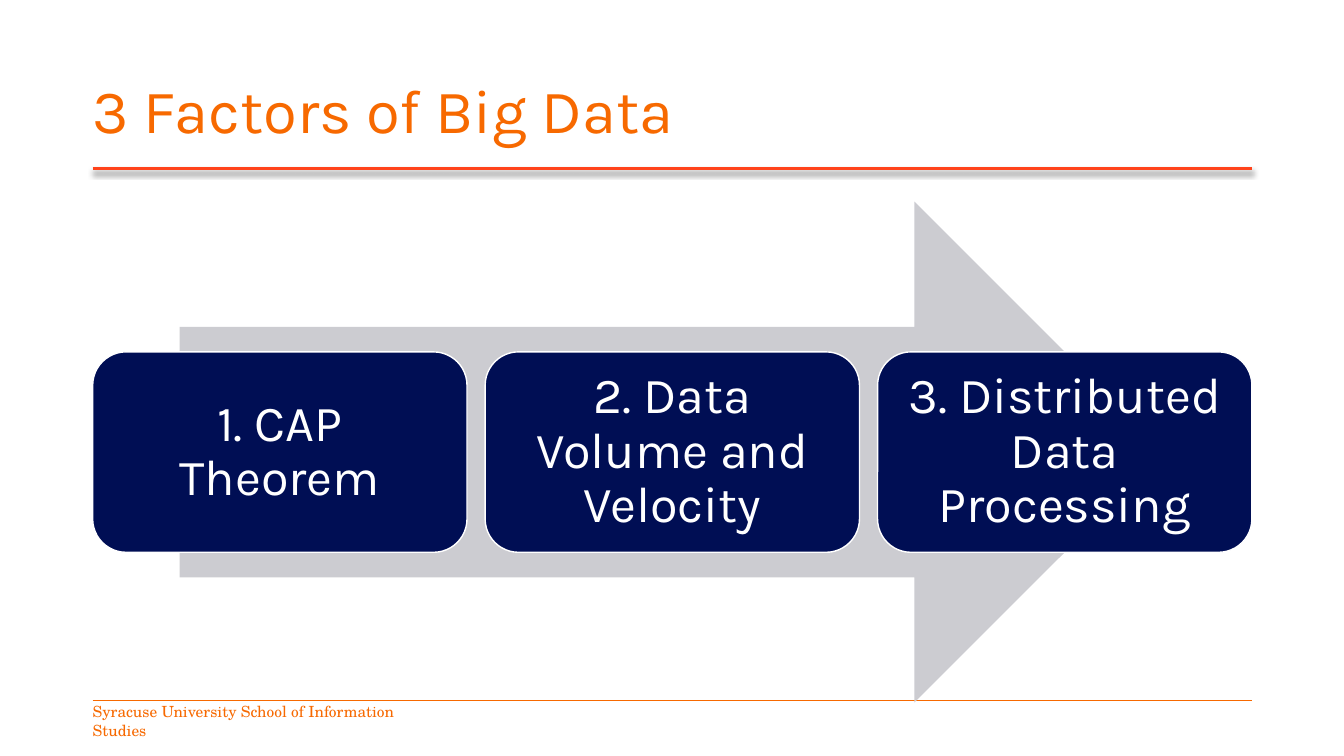
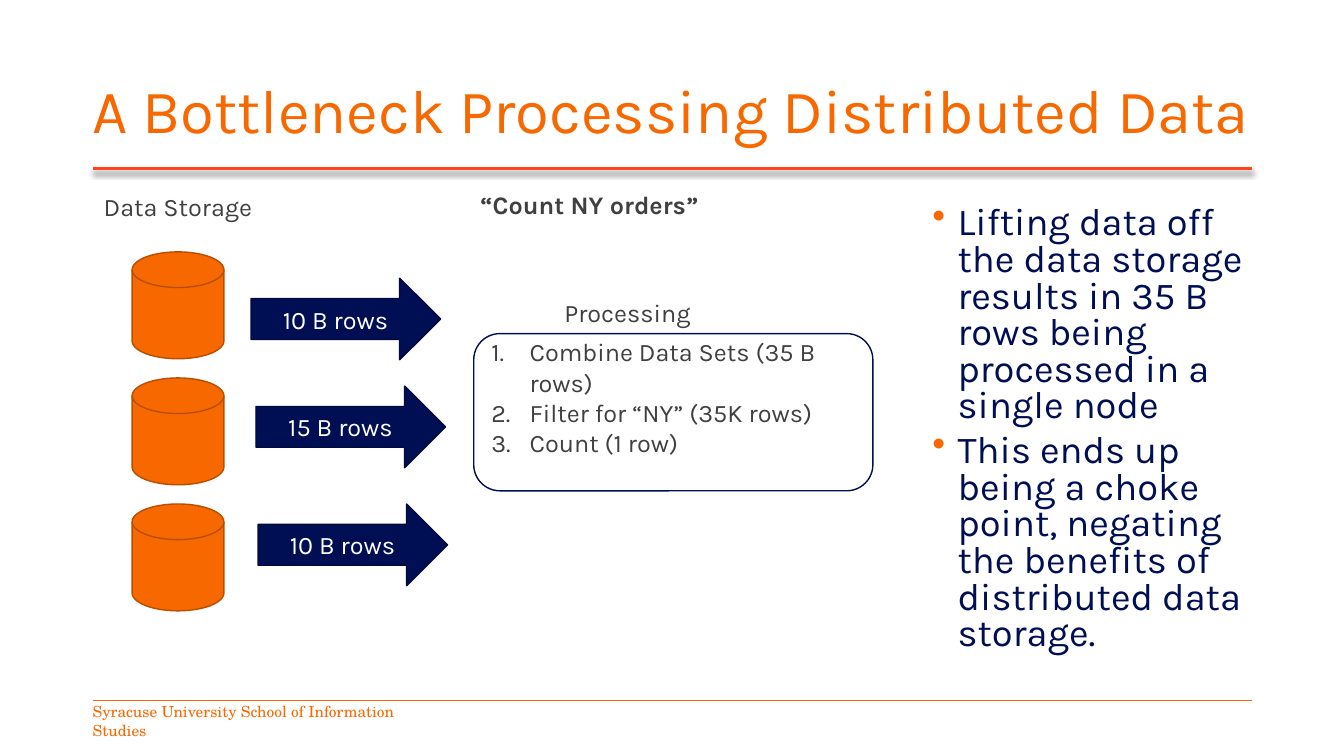
from dataclasses import dataclass, field
from typing import Any

from lxml.etree import SubElement
from pptx import Presentation
from pptx.dml.color import RGBColor
from pptx.enum.shapes import MSO_CONNECTOR as Connector, MSO_SHAPE as Preset
from pptx.enum.text import MSO_ANCHOR as Anchor, PP_ALIGN as Align
from pptx.oxml.ns import qn
from pptx.util import Inches, Pt

COLORS = {
    "orange": "F76900", "dark_orange": "B74E00", "red": "FF431B",
    "navy": "000E54", "dark_navy": "000A3E", "gray": "CCCCD1",
    "text": "3F403F", "white": "FFFFFF", "black": "000000",
}
SLIDE_W, SLIDE_H = Inches(13.33), Inches(7.5)

# Shared positions, in percent of the slide's width or height
LEFT, CONTENT_W = 6.9, 86.25
TITLE_RULE_Y, FOOTER_Y, LABEL_H = 22.27, 92.67, 5.33
CONTENT_TOP = 26.67
FOOTER = "Syracuse University School of Information Studies"


@dataclass(frozen=True)
class Box:
    """A rectangle in percent of the slide's size."""
    left: float
    top: float
    width: float
    height: float

    def emu(self) -> tuple[int, int, int, int]:
        return (int(SLIDE_W * self.left / 100), int(SLIDE_H * self.top / 100),
                int(SLIDE_W * self.width / 100), int(SLIDE_H * self.height / 100))


@dataclass(frozen=True)
class TextStyle:
    size: float = 18
    color: str = "text"
    font: str = "Karla"
    bold: bool = False
    align: Any = Align.CENTER
    anchor: Any = Anchor.MIDDLE
    spacing: float = 1.0
    before: float = 0
    bullet: str = ""
    indent: float = 0
    wrap: bool = True
    margins: dict[str, float] = field(default_factory=dict)


@dataclass(frozen=True)
class Label:
    text: str
    box: Box
    style: TextStyle


@dataclass(frozen=True)
class Flow:
    rows: str
    left: float
    top: float


FLUSH = {"margin_left": 0, "margin_right": 0}
TITLE = TextStyle(44, "orange", align=Align.LEFT, spacing=0.9, margins=FLUSH)
FOOTNOTE = TextStyle(11, "orange", "TeX Gyre Schola", align=Align.LEFT,
                     wrap=False, margins=FLUSH)
CARD = TextStyle(36, "white", spacing=0.9, margins={
    f"margin_{side}": 0.15 for side in ("left", "right", "top", "bottom")})
BODY = TextStyle(27.2, "navy", align=Align.LEFT, anchor=Anchor.TOP, spacing=0.8,
                 before=6, bullet="•", indent=0.25, margins=FLUSH)
STEPS = TextStyle(align=Align.LEFT, bullet="1.", indent=0.38,
                  margins={"margin_top": 0, "margin_bottom": 0.3})
CAPTION = TextStyle(anchor=Anchor.TOP)
QUERY = TextStyle(anchor=Anchor.TOP, bold=True)
FLOW = TextStyle(color="white")


def rgb(name: str) -> RGBColor:
    return RGBColor.from_string(COLORS[name])


def set_all(target: Any, values: dict[str, Any]) -> None:
    for name, value in values.items():
        setattr(target, name, value)


def add_bullet(paragraph: Any, style: TextStyle) -> None:
    props = paragraph._p.get_or_add_pPr()
    props.set("marL", str(Inches(style.indent)))
    props.set("indent", str(-Inches(style.indent)))
    if style.bullet == "1.":
        SubElement(props, qn("a:buAutoNum"), type="arabicPeriod")
    else:
        tint = SubElement(props, qn("a:buClr"))
        SubElement(tint, qn("a:srgbClr"), val=COLORS["orange"])
        SubElement(props, qn("a:buChar"), char=style.bullet)


def write(shape: Any, lines: list[str], style: TextStyle) -> None:
    frame = shape.text_frame
    set_all(frame, {"word_wrap": style.wrap, "vertical_anchor": style.anchor})
    set_all(frame, {side: Inches(gap) for side, gap in style.margins.items()})
    for index, line in enumerate(lines):
        paragraph = frame.add_paragraph() if index else frame.paragraphs[0]
        paragraph.text = line
        if style.bullet:
            add_bullet(paragraph, style)
        set_all(paragraph, {"alignment": style.align, "line_spacing": style.spacing,
                            "space_before": Pt(style.before if index else 0)})
        font = paragraph.runs[0].font
        set_all(font, {"name": style.font, "size": Pt(style.size), "bold": style.bold})
        font.color.rgb = rgb(style.color)


def add_label(slide: Any, label: Label) -> None:
    write(slide.shapes.add_textbox(*label.box.emu()), [label.text], label.style)


def add_figure(slide: Any, preset: Any, box: Box, fill: str, outline: str = "") -> Any:
    shape = slide.shapes.add_shape(preset, *box.emu())
    shape.shadow.inherit = False
    shape.fill.solid()
    shape.fill.fore_color.rgb = rgb(fill)
    if outline:
        shape.line.color.rgb = rgb(outline)
        shape.line.width = Pt(1)
    else:
        shape.line.fill.background()
    return shape


def add_rule(slide: Any, top: float, color: str, weight: float, shadow: bool = False) -> None:
    x, y, width, _ = Box(LEFT, top, CONTENT_W, 0).emu()
    rule = slide.shapes.add_connector(Connector.STRAIGHT, x, y, x + width, y)
    rule.line.color.rgb = rgb(color)
    rule.line.width = Pt(weight)
    effects = SubElement(rule._element.spPr, qn("a:effectLst"))
    if shadow:
        cast = SubElement(effects, qn("a:outerShdw"), blurRad=str(Pt(4)),
                          dist=str(Pt(3)), dir="5400000", rotWithShape="0")
        tint = SubElement(cast, qn("a:srgbClr"), val=COLORS["black"])
        SubElement(tint, qn("a:alpha"), val="40000")


def new_slide(deck: Any, title: str) -> Any:
    slide = deck.slides.add_slide(deck.slide_layouts[6])
    add_rule(slide, FOOTER_Y, "orange", 0.5)
    add_label(slide, Label(FOOTER, Box(LEFT, FOOTER_Y, 24.5, LABEL_H), FOOTNOTE))
    add_rule(slide, TITLE_RULE_Y, "red", 2.25, shadow=True)
    add_label(slide, Label(title, Box(LEFT, 5.33, CONTENT_W, 19.33), TITLE))
    return slide


def factors_slide(deck: Any) -> None:
    slide = new_slide(deck, "3 Factors of Big Data")
    factors = ["1. CAP Theorem", "2. Data Volume and Velocity",
               "3. Distributed Data Processing"]

    # Backing arrow, centred in the content width
    arrow_w, arrow_h = CONTENT_W * 0.85, 66.27
    add_figure(slide, Preset.RIGHT_ARROW,
               Box(LEFT + (CONTENT_W - arrow_w) / 2, CONTENT_TOP, arrow_w, arrow_h), "gray")

    # Equal cards across the middle of the arrow
    gap = 1.35
    card_w = (CONTENT_W - gap * (len(factors) - 1)) / len(factors)
    card_h = arrow_h * 0.4
    card_top = CONTENT_TOP + (arrow_h - card_h) / 2
    for column, factor in enumerate(factors):
        box = Box(LEFT + column * (card_w + gap), card_top, card_w, card_h)
        card = add_figure(slide, Preset.ROUNDED_RECTANGLE, box, "navy", "white")
        write(card, [factor], CARD)


def bottleneck_slide(deck: Any) -> None:
    slide = new_slide(deck, "A Bottleneck Processing Distributed Data")

    # Takeaways
    takeaways = slide.shapes.add_textbox(*Box(69.38, CONTENT_TOP, 23.77, 63.47).emu())
    write(takeaways, [
        "Lifting data off the data storage results in 35 B rows being processed "
        "in a single node",
        "This ends up being a choke point, negating the benefits of distributed "
        "data storage.",
    ], BODY)

    # Storage disks
    for row in range(3):
        add_figure(slide, Preset.FLOWCHART_MAGNETIC_DISK,
                   Box(9.83, 33.33 + row * 16.67, 6.83, 14.13), "orange", "dark_orange")

    # Processing steps
    steps = add_figure(slide, Preset.FLOWCHART_ALTERNATE_PROCESS,
                       Box(35.25, 44.13, 29.7, 20.8), "white", "navy")
    write(steps, ["Combine Data Sets (35 B rows)", "Filter for “NY” (35K rows)",
                  "Count (1 row)"], STEPS)

    # Captions
    for label in (
        Label("Processing", Box(35.25, 38.67, 22.88, LABEL_H), CAPTION),
        Label("Data Storage", Box(1.8, 24.67, 22.88, LABEL_H), CAPTION),
        Label("“Count NY orders”", Box(31.28, 24.4, 25.13, LABEL_H), QUERY),
    ):
        add_label(slide, label)

    # Rows moving from storage to processing
    for flow in (Flow("10 B rows", 18.68, 36.8), Flow("15 B rows", 19.05, 51.07),
                 Flow("10 B rows", 19.2, 66.67)):
        arrow = add_figure(slide, Preset.RIGHT_ARROW,
                           Box(flow.left, flow.top, 14.1, 10.8), "navy", "dark_navy")
        write(arrow, [flow.rows], FLOW)


def main() -> None:
    deck = Presentation()
    set_all(deck, {"slide_width": SLIDE_W, "slide_height": SLIDE_H})
    factors_slide(deck)
    bottleneck_slide(deck)
    deck.save("out.pptx")


if __name__ == "__main__":
    main()
